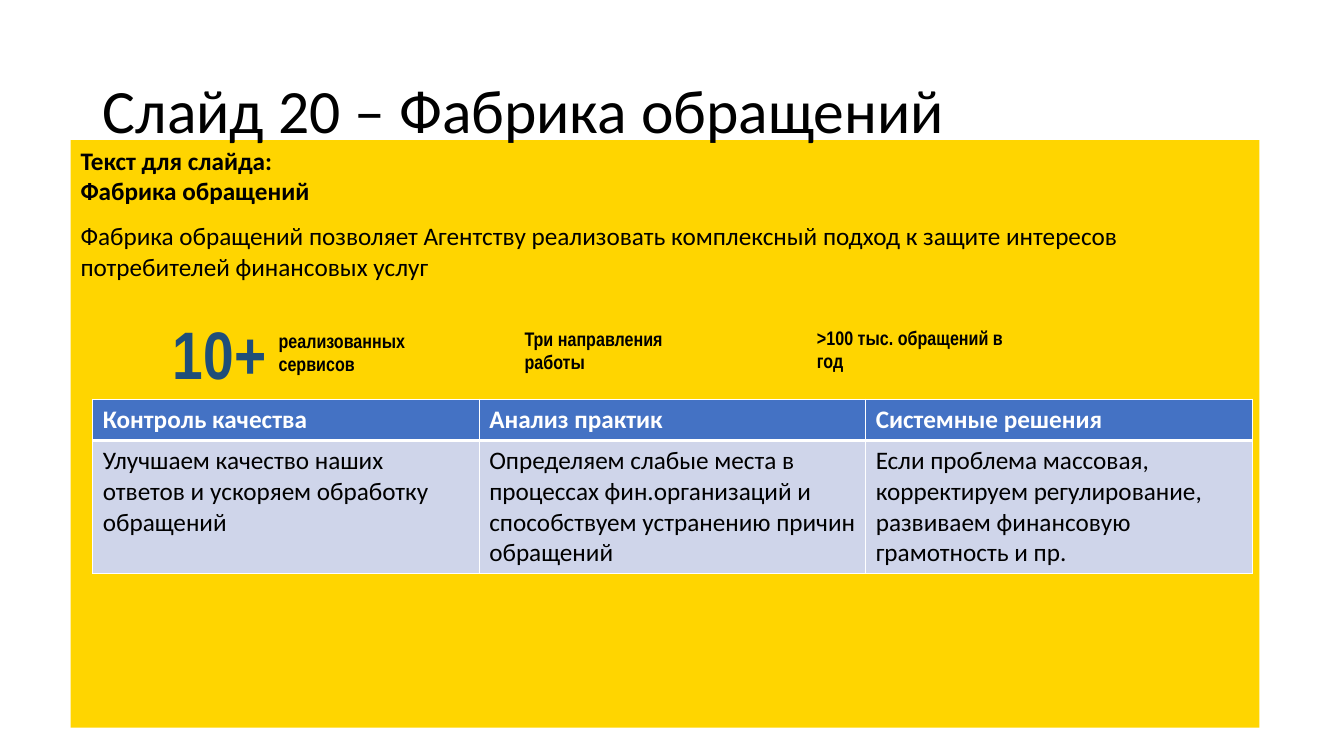
from lxml.etree import SubElement
from pptx import Presentation
from pptx.dml.color import RGBColor
from pptx.enum.shapes import MSO_SHAPE
from pptx.enum.text import MSO_ANCHOR, MSO_AUTO_SIZE, PP_ALIGN
from pptx.oxml.ns import qn
from pptx.util import Emu, Pt

PIXEL = 9144  # 100 px to the inch
COLORS = {
    "panel": "FFD500",
    "text": "000000",
    "number": "1F4E79",
    "header": "4472C4",
    "cell": "CFD5EA",
    "white": "FFFFFF",
}
BODY_FONT = "Calibri"
FACT_FONT = "Arial Narrow"


def px(length):
    return Emu(length * PIXEL)


def color(name):
    return RGBColor.from_string(COLORS[name])


def write(frame, lines, size, font=BODY_FONT, ink="text", bold=False,
          align=PP_ALIGN.LEFT):
    """Write one paragraph for each line of text."""
    frame.word_wrap = True
    for index, line in enumerate(lines):
        para = frame.add_paragraph() if index else frame.paragraphs[0]
        para.alignment = align
        span = para.add_run()
        span.text = line
        span.font.name = font
        span.font.size = Pt(size)
        span.font.bold = bold
        span.font.color.rgb = color(ink)


def add_title(page, box, text):
    title = page.shapes.title
    title.left, title.top, title.width, title.height = map(px, box)
    frame = title.text_frame
    frame.auto_size = MSO_AUTO_SIZE.NONE
    frame.vertical_anchor = MSO_ANCHOR.MIDDLE
    write(frame, [text], 44)
    frame.paragraphs[0].line_spacing = 0.9


def add_panel(page, box, lines):
    panel = page.shapes.add_shape(MSO_SHAPE.RECTANGLE, *map(px, box))
    panel.shadow.inherit = False
    panel.fill.solid()
    panel.fill.fore_color.rgb = color("panel")
    panel.line.fill.background()
    panel.text_frame.vertical_anchor = MSO_ANCHOR.TOP
    write(panel.text_frame, lines, 18, bold=True)
    # The title stays in front of the panel
    page.shapes.title.element.addprevious(panel.element)


def add_intro(page, box, text):
    intro = page.shapes.add_textbox(*map(px, box))
    write(intro.text_frame, [text], 18)
    intro.text_frame.auto_size = MSO_AUTO_SIZE.SHAPE_TO_FIT_TEXT


def add_fact(page, box, lines, size=14, ink="text", align=PP_ALIGN.LEFT):
    fact = page.shapes.add_shape(MSO_SHAPE.ROUNDED_RECTANGLE, *map(px, box))
    fact.shadow.inherit = False
    fact.fill.background()
    fact.line.fill.background()
    frame = fact.text_frame
    frame.vertical_anchor = MSO_ANCHOR.MIDDLE
    frame.margin_left, frame.margin_right = px(4), 0
    frame.margin_top = frame.margin_bottom = px(39)
    write(frame, lines, size, FACT_FONT, ink, True, align)


def add_facts(page, box):
    left, top, width, height = box
    add_fact(page, (left, top + 3, 236, height), ["10+"], 48, "number",
             PP_ALIGN.CENTER)
    facts = [
        (171, 3, ["реализованных", "сервисов"]),
        (415, 1, ["Три направления работы"]),
        (705, 0, [">100 тыс. обращений в год"]),
    ]
    for across, down, lines in facts:
        add_fact(page, (left + across, top + down, 209, height), lines)


def set_borders(cell, widths):
    """Draw white cell borders; widths are in points by side."""
    properties = cell._tc.get_or_add_tcPr()
    for index, (side, width) in enumerate(widths.items()):
        line = SubElement(properties, qn(f"a:ln{side}"), w=str(Pt(width)))
        fill = SubElement(line, qn("a:solidFill"))
        SubElement(fill, qn("a:srgbClr"), val=COLORS["white"])
        properties.insert(index, line)


def add_directions(page, box, rows, row_heights):
    table = page.shapes.add_table(len(rows), len(rows[0]), *map(px, box)).table
    for row, height in zip(table.rows, row_heights):
        row.height = px(height)
    for row_index, texts in enumerate(rows):
        is_header = row_index == 0
        for column_index, text in enumerate(texts):
            cell = table.cell(row_index, column_index)
            cell.fill.solid()
            cell.fill.fore_color.rgb = color("header" if is_header else "cell")
            write(cell.text_frame, [text], 18,
                  ink="white" if is_header else "text", bold=is_header)
            set_borders(cell, {"L": 1, "R": 1, "T": 1 if is_header else 3,
                               "B": 3 if is_header else 1})


def build_factory_slide(deck):
    page = deck.slides.add_slide(deck.slide_layouts[5])
    add_title(page, (92, 40, 1150, 145), "Слайд 20 – Фабрика обращений")
    add_panel(page, (70, 139, 1179, 583),
              ["Текст для слайда:", "Фабрика обращений"])
    add_directions(page, (92, 396, 1150, 171), [
        ["Контроль качества", "Анализ практик", "Системные решения"],
        ["Улучшаем качество наших ответов и ускоряем обработку обращений",
         "Определяем слабые места в процессах фин.организаций и "
         "способствуем устранению причин обращений",
         "Если проблема массовая, корректируем регулирование, "
         "развиваем финансовую грамотность и пр."],
    ], [41, 130])
    add_facts(page, (98, 313, 914, 67))
    add_intro(page, (70, 214, 1165, 71),
              "Фабрика обращений позволяет Агентству реализовать комплексный "
              "подход к защите интересов потребителей финансовых услуг")


def main():
    deck = Presentation()
    deck.slide_width, deck.slide_height = px(1333), px(750)
    build_factory_slide(deck)
    deck.save("out.pptx")


if __name__ == "__main__":
    main()
